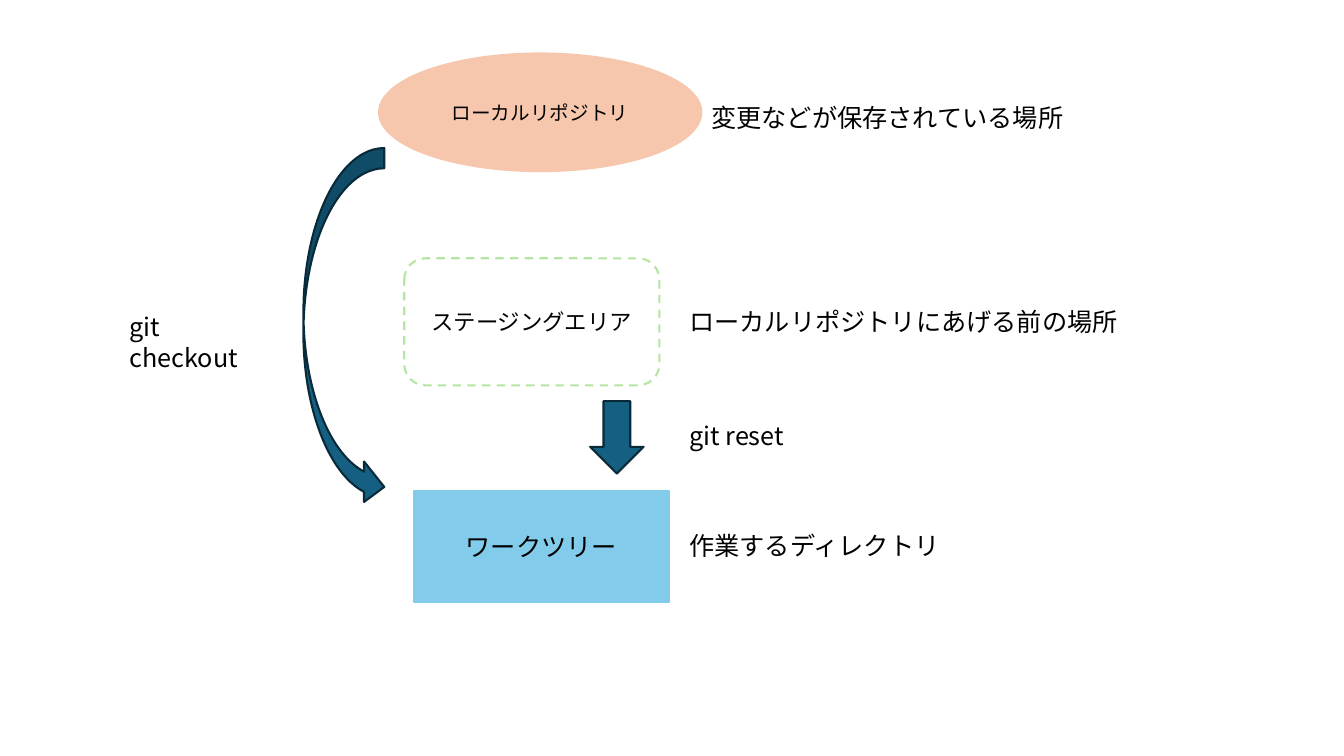
from dataclasses import dataclass

from lxml.etree import SubElement
from pptx import Presentation
from pptx.dml.color import RGBColor
from pptx.enum.dml import MSO_LINE
from pptx.enum.shapes import MSO_SHAPE as Shape
from pptx.enum.text import MSO_ANCHOR as Anchor, MSO_AUTO_SIZE as AutoSize, PP_ALIGN as Align
from pptx.oxml.ns import qn
from pptx.util import Emu, Pt


@dataclass(frozen=True)
class Theme:
    font: str = "Noto Sans CJK JP"
    ink: str = "000000"
    repository: str = "F6C6AD"
    staging: str = "B4E5A2"
    worktree: str = "83CBEB"
    arrow: str = "156082"
    arrow_edge: str = "092A39"
    body: int = 18
    medium: int = 16
    small: int = 14
    line: float = 1.5


THEME = Theme()
EMU_PER_PX = 9525
LABEL_H = 38


def px(n):
    return Emu(n * EMU_PER_PX)


def write(tf, text, size=THEME.body, color=THEME.ink, align=Align.LEFT, anchor=Anchor.TOP, wrap=True):
    tf.word_wrap = wrap
    tf.vertical_anchor = anchor
    p = tf.paragraphs[0]
    p.alignment = align
    r = p.add_run()
    r.text = text
    r.font.size = Pt(size)
    r.font.name = THEME.font
    r.font.color.rgb = RGBColor.from_string(color)
    SubElement(r.font._element, qn("a:ea"), typeface=THEME.font)


def add_figure(s, kind, box, line, fill=None, dash=None):
    sp = s.shapes.add_shape(kind, *map(px, box))
    sp.shadow.inherit = False
    if fill:
        sp.fill.solid()
        sp.fill.fore_color.rgb = RGBColor.from_string(fill)
    else:
        sp.fill.background()
    sp.line.color.rgb = RGBColor.from_string(line)
    sp.line.width = Pt(THEME.line)
    if dash:
        sp.line.dash_style = dash
    return sp


def add_label(s, text, left, top, width, wrap=False):
    sp = s.shapes.add_textbox(*map(px, (left, top, width, LABEL_H)))
    write(sp.text_frame, text, wrap=wrap)
    sp.text_frame.auto_size = AutoSize.SHAPE_TO_FIT_TEXT


def add_area(s, box, kind, name, size, note, note_at, note_w, **look):
    left, top, _, _ = box
    sp = add_figure(s, kind, box, **look)
    write(sp.text_frame, name, size=size, align=Align.CENTER, anchor=Anchor.MIDDLE)
    dx, dy = note_at
    add_label(s, note, left + dx, top + dy, note_w)


def add_command(s, box, kind, name, name_at, name_w, rotation=0, wrap=False):
    left, top, _, _ = box
    sp = add_figure(s, kind, box, line=THEME.arrow_edge, fill=THEME.arrow)
    sp.rotation = rotation
    dx, dy = name_at
    add_label(s, name, left + dx, top + dy, name_w, wrap=wrap)


def main():
    prs = Presentation()
    prs.slide_width, prs.slide_height = px(1280), px(720)
    s = prs.slides.add_slide(prs.slide_layouts[6])

    add_area(s, (394, 468, 243, 105), Shape.RECTANGLE, "ワークツリー", THEME.body,
             "作業するディレクトリ", (253, 32), 262,
             line=THEME.worktree, fill=THEME.worktree)
    add_area(s, (385, 246, 243, 121), Shape.ROUNDED_RECTANGLE, "ステージングエリア", THEME.medium,
             "ローカルリポジトリにあげる前の場所", (262, 41), 431,
             line=THEME.staging, dash=MSO_LINE.DASH)
    add_area(s, (361, 51, 307, 112), Shape.OVAL, "ローカルリポジトリ", THEME.small,
             "変更などが保存されている場所", (307, 42), 359,
             line=THEME.repository, fill=THEME.repository)

    add_command(s, (562, 382, 51, 69), Shape.UP_ARROW, "git reset", (85, 14), 111, rotation=180)
    add_command(s, (289, 141, 77, 342), Shape.CURVED_RIGHT_ARROW, "git checkout", (-175, 151), 156,
                wrap=True)

    prs.save("out.pptx")


if __name__ == "__main__":
    main()
